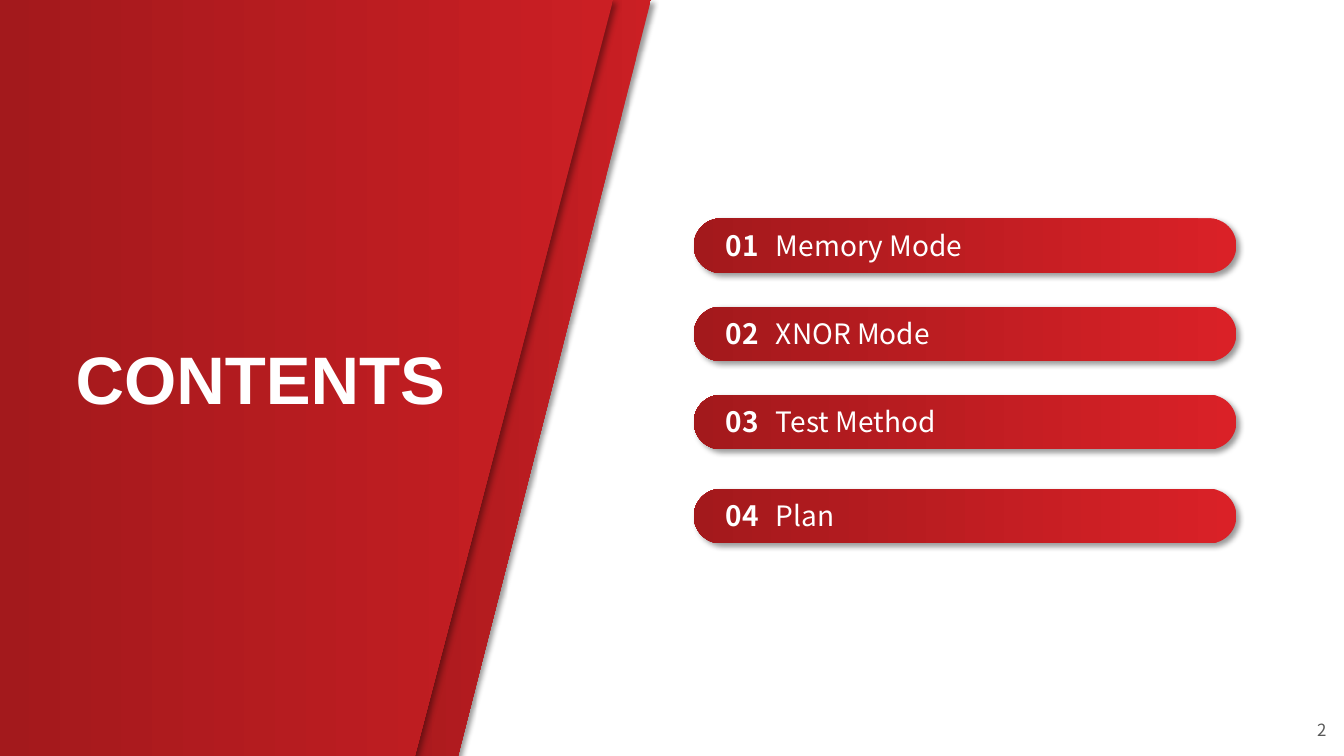
from lxml.etree import SubElement
from pptx import Presentation
from pptx.dml.color import RGBColor
from pptx.enum.shapes import MSO_SHAPE
from pptx.enum.text import MSO_AUTO_SIZE, PP_ALIGN
from pptx.oxml.ns import qn
from pptx.util import Inches, Pt

WHITE = RGBColor(0xFF, 0xFF, 0xFF)
GREY = RGBColor(0x59, 0x59, 0x59)
BRIGHT_RED = RGBColor(0xDA, 0x21, 0x27)
MID_RED = RGBColor(0xCB, 0x1F, 0x24)
DARK_RED = RGBColor(0xA3, 0x19, 0x1C)

COLUMNS, ROWS = 16, 9
CHAPTERS = [
    ("Memory Mode", 2.6),
    ("XNOR Mode", 3.65),
    ("Test Method", 4.7),
    ("Plan", 5.82),
]


def write_text(frame, text, size=20, font="Noto Sans CJK KR", color=WHITE,
               bold=False, align=PP_ALIGN.LEFT):
    frame.word_wrap = True
    frame.auto_size = MSO_AUTO_SIZE.SHAPE_TO_FIT_TEXT
    para = frame.paragraphs[0]
    para.alignment = align
    span = para.add_run()
    span.text = text
    span.font.name = font
    span.font.size = Pt(size)
    span.font.bold = bold
    span.font.color.rgb = color


class ContentsPage:
    def __init__(self, deck):
        self.column = deck.slide_width / COLUMNS
        self.row = deck.slide_height / ROWS
        self.page = deck.slides.add_slide(deck.slide_layouts[6])
        self.shapes = self.page.shapes

    def place(self, column, row):
        return round(column * self.column), round(row * self.row)

    def style(self, shape, bright):
        shape.line.fill.background()
        shape.fill.gradient()
        shape.fill.gradient_angle = 180
        for stop, color in zip(shape.fill.gradient_stops, (bright, DARK_RED)):
            stop.color.rgb = color
        shape.shadow.inherit = False
        effects = shape._element.spPr.find(qn("a:effectLst"))
        shadow = SubElement(effects, qn("a:outerShdw"), blurRad=str(Pt(4)),
                            dist=str(Pt(3)), dir="2700000", algn="tl",
                            rotWithShape="0")
        black = SubElement(shadow, qn("a:srgbClr"), val="000000")
        SubElement(black, qn("a:alpha"), val="40000")

    def preset(self, kind, left, top, width, height, bright, adjust, shapes=None):
        shape = (shapes or self.shapes).add_shape(
            kind, *self.place(left, top), *self.place(width, height))
        shape.adjustments[0] = adjust
        self.style(shape, bright)

    def outline(self, corners, bright):
        start, *rest = [self.place(*corner) for corner in corners]
        builder = self.shapes.build_freeform(*start)
        builder.add_line_segments(rest, close=True)
        self.style(builder.convert_to_shape(), bright)

    def text(self, text, left, top, width, height, shapes=None, **text_format):
        box = (shapes or self.shapes).add_textbox(
            *self.place(left, top), *self.place(width, height))
        write_text(box.text_frame, text, **text_format)

    def chapter(self, number, title, top):
        left = 8.26
        shapes = self.shapes.add_group_shape().shapes
        self.preset(MSO_SHAPE.ROUNDED_RECTANGLE, left, top, 6.46, 0.65,
                    BRIGHT_RED, 0.5, shapes)
        self.text(title, left + 0.86, top + 0.06, 6.3, 0.53, shapes)
        self.text(f"{number:02}", left + 0.26, top + 0.06, 3.23, 0.53, shapes,
                  bold=True)


def main():
    deck = Presentation()
    deck.slide_width, deck.slide_height = Inches(13.33), Inches(7.5)
    contents = ContentsPage(deck)

    contents.preset(MSO_SHAPE.PARALLELOGRAM, 4.27, 0, 3.48, ROWS, MID_RED, 0.66)
    contents.outline([(-0.02, 0), (7.3, 0), (4.94, ROWS), (-0.02, ROWS)], MID_RED)
    contents.text("CONTENTS", 0.29, 3.96, 5.62, 1.09, size=48, font="Arial",
                  bold=True, align=PP_ALIGN.CENTER)
    for number, (title, top) in enumerate(CHAPTERS, start=1):
        contents.chapter(number, title, top)
    contents.text("2", 13.99, 8.51, 1.92, 0.36, size=12, color=GREY,
                  align=PP_ALIGN.RIGHT)

    deck.save("out.pptx")


if __name__ == "__main__":
    main()
